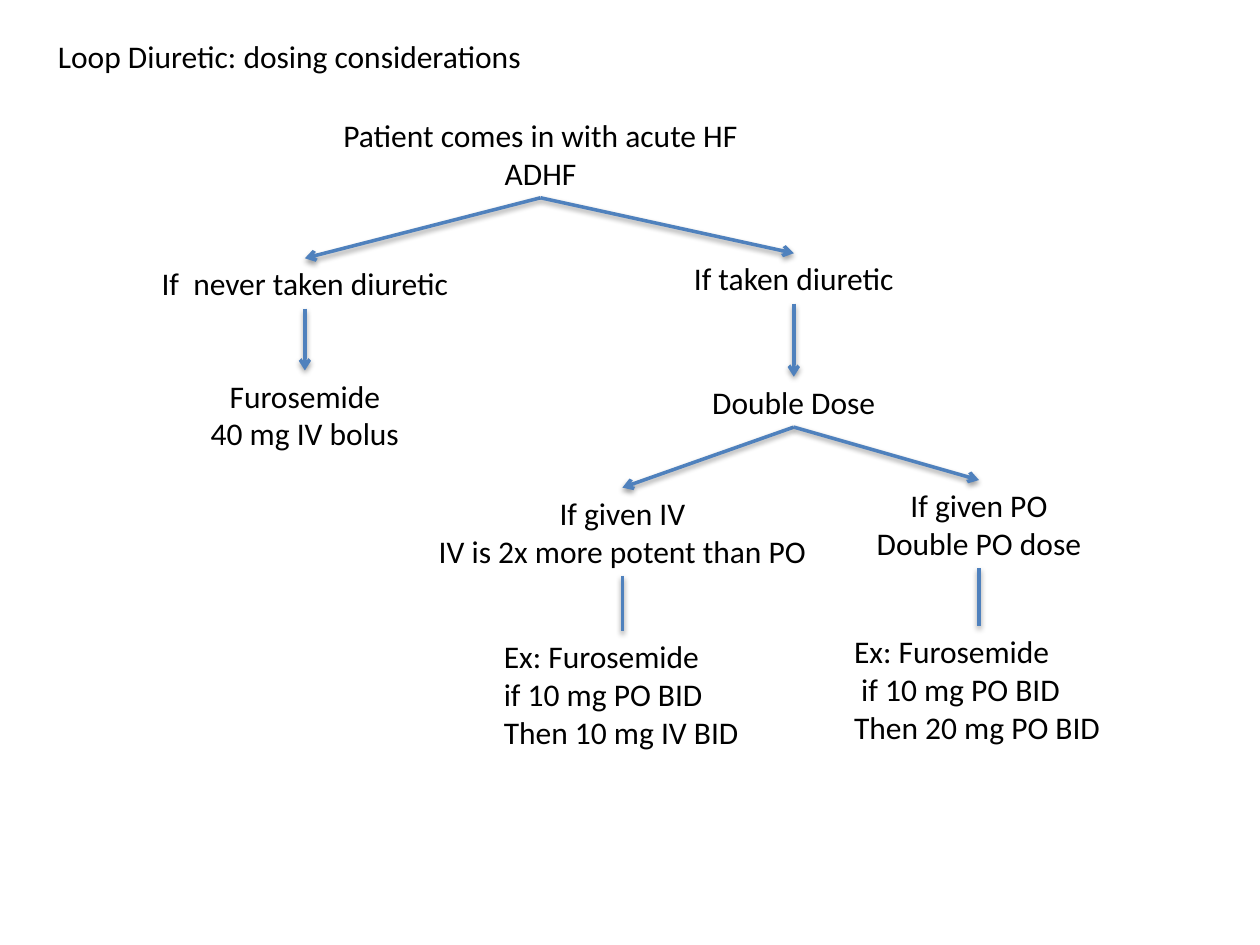
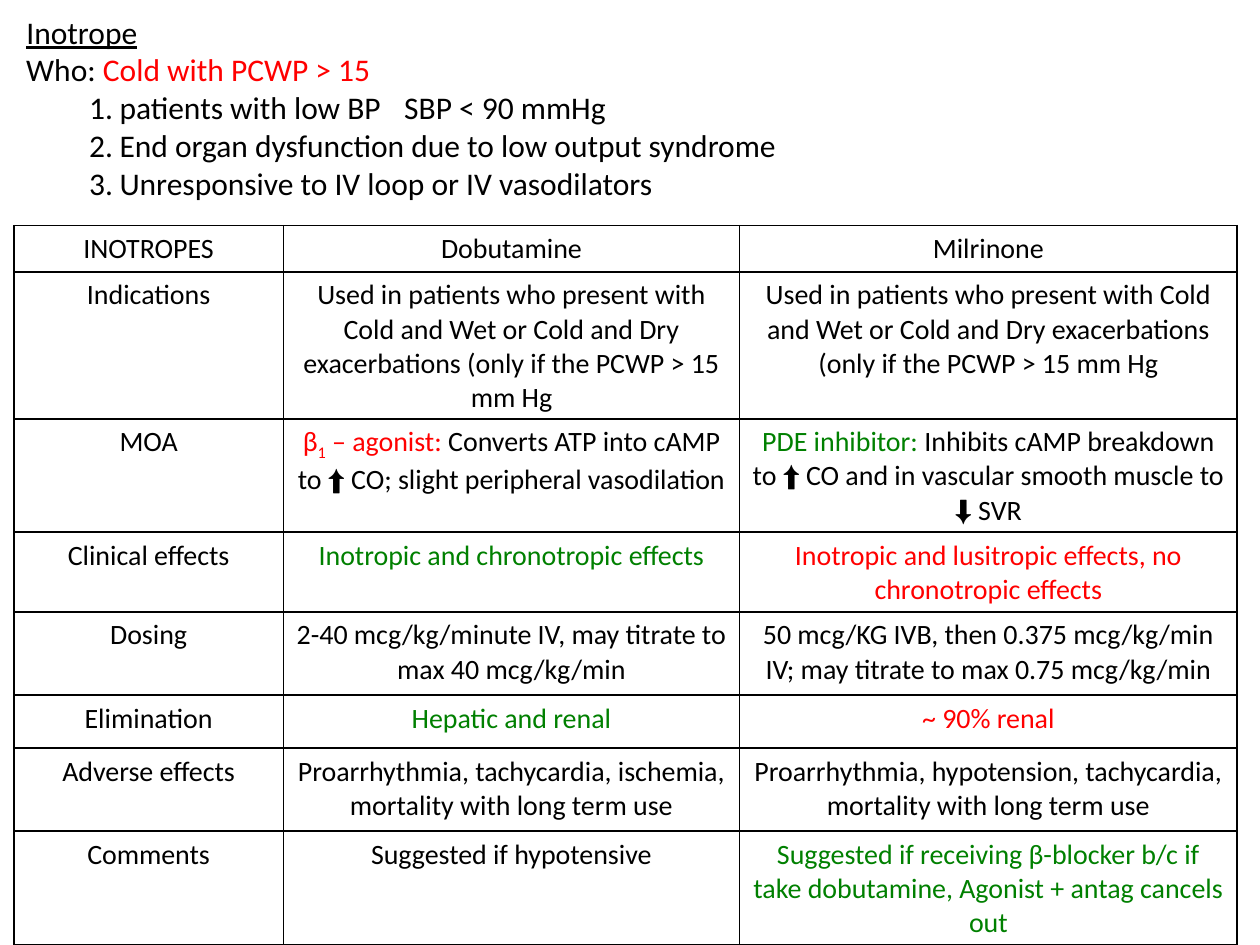
"""Build two slides on acute heart failure drugs: a loop diuretic decision tree and an inotrope table."""
from lxml.etree import SubElement
from pptx import Presentation
from pptx.dml.color import RGBColor
from pptx.enum.shapes import MSO_CONNECTOR as Connector
from pptx.enum.text import MSO_ANCHOR as Anchor, MSO_AUTO_SIZE as AutoSize, PP_ALIGN as Align
from pptx.oxml.ns import qn
from pptx.util import Inches, Pt

COLORS = {"black": "000000", "red": "FF0000", "green": "008000", "blue": "4F81BD"}
FONT = "Calibri"
BODY_SIZE, TABLE_SIZE = 18, 16
LINE_HEIGHT, PADDING = 0.3, 0.1

TREE_TITLE = "Loop Diuretic: dosing considerations"
# name: lines, centre, top, width, alignment
TREE_NODES = {
    "patient": (["Patient comes in with acute HF", "ADHF"], 4.29, 0.87, 3.38, Align.CENTER),
    "naive": (["If  never taken diuretic"], 2.42, 2.05, 2.52, Align.CENTER),
    "treated": (["If taken diuretic"], 6.3, 2.01, 1.82, Align.CENTER),
    "bolus": (["Furosemide", "40 mg IV bolus"], 2.42, 2.94, 1.72, Align.CENTER),
    "double": (["Double Dose"], 6.3, 2.99, 1.51, Align.CENTER),
    "iv": (["If given IV", "IV is 2x more potent than PO"], 4.94, 3.87, 3.15, Align.CENTER),
    "po": (["If given PO", "Double PO dose"], 7.77, 3.81, 1.84, Align.CENTER),
    "iv example": (["Ex: Furosemide", "if 10 mg PO BID", "Then 10 mg IV BID"],
                   4.94, 5.01, 2.08, Align.LEFT),
    "po example": (["Ex: Furosemide", " if 10 mg PO BID", "Then 20 mg PO BID"],
                   7.77, 4.97, 2.18, Align.LEFT),
}
ARROWS = [("patient", "naive"), ("patient", "treated"), ("naive", "bolus"),
          ("treated", "double"), ("double", "iv"), ("double", "po")]
PLAIN_LINES = [("iv", "iv example"), ("po", "po example")]

INOTROPE_TITLE = "Inotrope"
WHO = [("Who: ", "black"), ("Cold with PCWP > 15", "red")]
CRITERIA = ["patients with low BP\tSBP < 90 mmHg",
            "End organ dysfunction due to low output syndrome",
            "Unresponsive to IV loop or IV vasodilators"]
INDICATION = ("Used in patients who present with Cold and Wet or Cold and Dry "
              "exacerbations (only if the PCWP > 15 mm Hg")
COLUMN_WIDTHS = [2.14, 3.62, 3.95]
# row height, cells; a cell is plain text or a list of (text, colour, baseline)
TABLE_ROWS = [
    (0.28, ["INOTROPES", "Dobutamine", "Milrinone"]),
    (0.86, ["Indications", INDICATION, INDICATION]),
    (0.86, ["MOA",
            [("β", "red"), ("1", "red", -25000), (" – agonist: ", "red"),
             ("Converts ATP into cAMP to ⬆ CO; slight peripheral vasodilation", "black")],
            [("PDE inhibitor: ", "green"),
             ("Inhibits cAMP breakdown to ⬆ CO and in vascular smooth muscle to ⬇ SVR", "black")]]),
    (0.47, ["Clinical effects",
            [("Inotropic and chronotropic effects", "green")],
            [("Inotropic and lusitropic effects, no chronotropic effects", "red")]]),
    (0.66, ["Dosing",
            "2-40 mcg/kg/minute IV, may titrate to max 40 mcg/kg/min",
            "50 mcg/KG IVB, then 0.375 mcg/kg/min IV; may titrate to max 0.75 mcg/kg/min"]),
    (0.42, ["Elimination", [("Hepatic and renal", "green")], [("~ 90% renal", "red")]]),
    (0.66, ["Adverse effects",
            "Proarrhythmia, tachycardia, ischemia, mortality with long term use",
            "Proarrhythmia, hypotension, tachycardia, mortality with long term use"]),
    (0.61, ["Comments", "Suggested if hypotensive",
            [("Suggested if receiving β-blocker b/c if take dobutamine, "
              "Agonist + antag cancels out", "green")]]),
]


def rgb(name):
    return RGBColor.from_string(COLORS[name])


def write(paragraph, content, size=BODY_SIZE, align=Align.LEFT):
    runs = [(content, "black")] if isinstance(content, str) else content
    paragraph.alignment = align
    paragraph.font.name, paragraph.font.size = FONT, Pt(size)
    for text, color, *baseline in runs:
        run = paragraph.add_run()
        run.text = text
        run.font.color.rgb = rgb(color)
        if baseline:
            run._r.get_or_add_rPr().set("baseline", str(baseline[0]))


def place(shape, left, top, width, height):
    shape.left, shape.top = Inches(left), Inches(top)
    shape.width, shape.height = Inches(width), Inches(height)


def add_titled_slide(presentation, title, left, top, width):
    slide = presentation.slides.add_slide(presentation.slide_layouts[5])
    place(slide.shapes.title, left, top, width, LINE_HEIGHT + PADDING)
    frame = slide.shapes.title.text_frame
    frame.auto_size, frame.word_wrap = AutoSize.NONE, False
    frame.vertical_anchor = Anchor.TOP
    write(frame.paragraphs[0], title)
    return slide


def add_lines(slide, lines, left, top, width, align=Align.LEFT, wrap=False):
    height = len(lines) * LINE_HEIGHT + PADDING
    box = slide.shapes.add_textbox(*map(Inches, (left, top, width, height)))
    frame = box.text_frame
    frame.word_wrap, frame.auto_size = wrap, AutoSize.SHAPE_TO_FIT_TEXT
    for index, line in enumerate(lines):
        paragraph = frame.add_paragraph() if index else frame.paragraphs[0]
        write(paragraph, line, align=align)
    return frame


def connect(slide, parent, child, arrow):
    lines, start, top, *_ = TREE_NODES[parent]
    _, end, bottom, *_ = TREE_NODES[child]
    start_top = top + len(lines) * LINE_HEIGHT + PADDING
    connector = slide.shapes.add_connector(
        Connector.STRAIGHT, *map(Inches, (start, start_top, end, bottom)))
    connector.line.color.rgb, connector.line.width = rgb("blue"), Pt(2)
    if arrow:
        SubElement(connector.line._get_or_add_ln(), qn("a:tailEnd"), type="arrow")


def number(paragraph):
    properties = paragraph._p.get_or_add_pPr()
    properties.set("marL", str(Inches(0.74)))
    properties.set("indent", str(Inches(-0.24)))
    SubElement(properties, qn("a:buFont"), typeface=FONT)
    SubElement(properties, qn("a:buAutoNum"), type="arabicPeriod")
    tabs = SubElement(properties, qn("a:tabLst"))
    SubElement(tabs, qn("a:tab"), pos=str(Inches(3)), algn="l")
    default_run = properties.find(qn("a:defRPr"))
    if default_run is not None:
        properties.append(default_run)


def draw_borders(cell):
    properties = cell._tc.get_or_add_tcPr()
    for side in ("lnL", "lnR", "lnT", "lnB"):
        line = SubElement(properties, qn(f"a:{side}"), w=str(Pt(1)))
        fill = SubElement(line, qn("a:solidFill"))
        SubElement(fill, qn("a:srgbClr"), val=COLORS["black"])


def add_inotrope_table(slide, left, top):
    heights = [height for height, _ in TABLE_ROWS]
    frame = slide.shapes.add_table(
        len(heights), len(COLUMN_WIDTHS),
        *map(Inches, (left, top, sum(COLUMN_WIDTHS), sum(heights))))
    table = frame.table
    table.first_row = table.horz_banding = False
    for column, width in zip(table.columns, COLUMN_WIDTHS):
        column.width = Inches(width)
    for row, (height, contents) in zip(table.rows, TABLE_ROWS):
        row.height = Inches(height)
        for cell, content in zip(row.cells, contents):
            write(cell.text_frame.paragraphs[0], content, TABLE_SIZE, Align.CENTER)
            draw_borders(cell)
            cell.fill.background()


def build_tree_slide(presentation):
    slide = add_titled_slide(presentation, TREE_TITLE, 0.36, 0.24, 3.93)
    for lines, centre, top, width, align in TREE_NODES.values():
        add_lines(slide, lines, centre - width / 2, top, width, align)
    for parent, child in ARROWS + PLAIN_LINES:
        connect(slide, parent, child, arrow=(parent, child) in ARROWS)


def build_inotrope_slide(presentation):
    left, top, width = 0.11, 0.05, 7.81
    slide = add_titled_slide(presentation, INOTROPE_TITLE, left, top, width)
    slide.shapes.title.text_frame.paragraphs[0].runs[0].font.underline = True
    frame = add_lines(slide, [WHO] + CRITERIA, left, top + LINE_HEIGHT, width, wrap=True)
    for paragraph in frame.paragraphs[1:]:
        number(paragraph)
    add_inotrope_table(slide, left, 1.79)


def main():
    presentation = Presentation()
    presentation.slide_width, presentation.slide_height = Inches(10), Inches(7.5)
    build_tree_slide(presentation)
    build_inotrope_slide(presentation)
    presentation.save("out.pptx")


if __name__ == "__main__":
    main()
